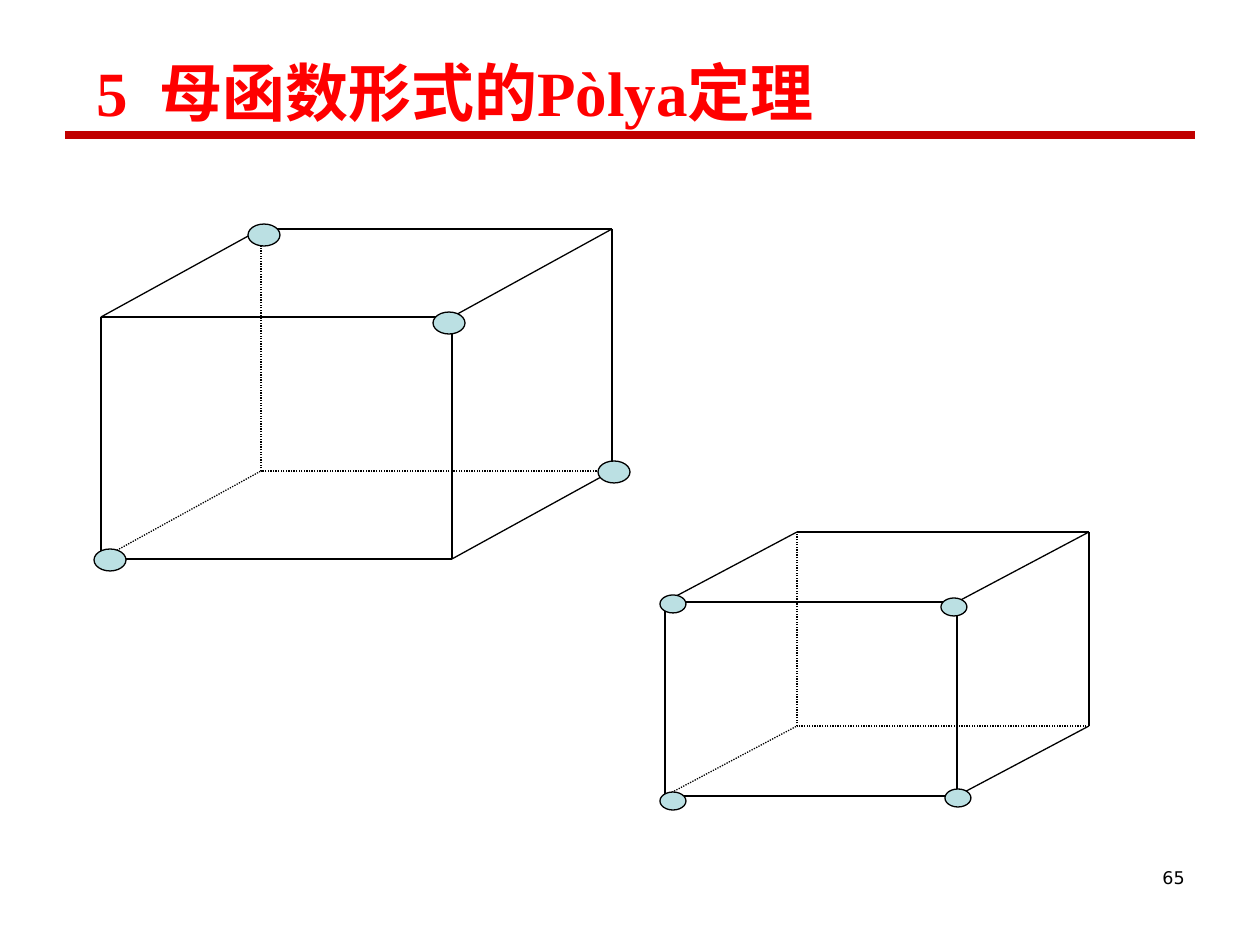
import pptx
import pptx.dml.color
import pptx.enum.dml
import pptx.enum.shapes
import pptx.enum.text
import pptx.oxml
import pptx.util

PX = 914400 / 126
ALIGN = pptx.enum.text.PP_ALIGN
ANCHOR = pptx.enum.text.MSO_ANCHOR


def px(*lengths):
    return [pptx.util.Emu(round(length * PX)) for length in lengths]


def color(hex_code):
    return pptx.dml.color.RGBColor.from_string(hex_code)


def add_text(shapes, box, text, size, font, ink="000000", bold=False,
             align=ALIGN.LEFT, anchor=ANCHOR.TOP):
    label = shapes.add_textbox(*px(*box))
    frame = label.text_frame
    frame.word_wrap = True
    frame.vertical_anchor = anchor
    paragraph = frame.paragraphs[0]
    paragraph.alignment = align
    run = paragraph.add_run()
    run.text = text
    run.font.size = pptx.util.Pt(size)
    run.font.name = font
    run.font.bold = bold
    run.font.color.rgb = color(ink)


def add_line(shapes, start, end, ink="000000", weight=0.75, dash=None):
    line = shapes.add_connector(
        pptx.enum.shapes.MSO_CONNECTOR.STRAIGHT, *px(*start, *end))
    line.line.color.rgb = color(ink)
    line.line.width = pptx.util.Pt(weight)
    if dash:
        line.line.dash_style = dash
    properties = line._element.spPr
    properties.append(pptx.oxml.parse_xml(
        '<a:effectLst xmlns:a="http://schemas.openxmlformats.org/drawingml/2006/main"/>'))


def add_vertex(shapes, box):
    vertex = shapes.add_shape(pptx.enum.shapes.MSO_SHAPE.OVAL, *px(*box))
    vertex.shadow.inherit = False
    vertex.fill.solid()
    vertex.fill.fore_color.rgb = color("BBE0E3")
    vertex.line.color.rgb = color("000000")
    vertex.line.width = pptx.util.Pt(0.75)


def add_header(slide, left, top, width, height):
    add_line(slide.shapes, (left, top + height), (left + width, top + height), "C00000", 5)
    add_text(slide.shapes, (left + 19, top, 1042, height), "5  母函数形式的Pòlya定理",
             36, "Times New Roman", ink="FF0000", bold=True, anchor=ANCHOR.BOTTOM)


def add_cube(slide, left, top, width, height, depth, vertex_size, vertices):
    shapes = slide.shapes.add_group_shape().shapes
    shift, rise = depth
    front_left, front_right = left, left + width - shift
    back_left, back_right = left + shift, left + width
    front_top, front_bottom = top + rise, top + height
    back_top, back_bottom = top, top + height - rise
    front = [(front_left, front_top), (front_right, front_top),
             (front_right, front_bottom), (front_left, front_bottom)]
    back = [(back_left, back_top), (back_right, back_top),
            (back_right, back_bottom), (back_left, back_bottom)]
    hidden_corner = back[3]

    edges = list(zip(front, back))
    for face in (front, back):
        edges += zip(face, face[1:] + face[:1])
    for edge in edges:
        hidden = hidden_corner in edge
        add_line(shapes, *edge,
                 dash=pptx.enum.dml.MSO_LINE.ROUND_DOT if hidden else None)
    for x, y in vertices:
        add_vertex(shapes, (left + x, top + y, *vertex_size))


def add_page_number(slide, left, top, width, height):
    add_text(slide.shapes, (left, top, width, height), "65", 10, "DejaVu Sans",
             align=ALIGN.RIGHT)


def main():
    deck = pptx.Presentation()
    deck.slide_width, deck.slide_height = px(1260, 945)
    slide = deck.slides.add_slide(deck.slide_layouts[6])
    add_header(slide, 65, 35, 1130, 100)
    add_page_number(slide, 903, 861, 294, 63)
    add_cube(slide, 101, 229, 511, 330, (160, 88), (32, 22),
             [(-7, 320), (332, 83), (147, -5), (497, 232)])
    add_cube(slide, 665, 532, 424, 264, (132, 70), (26, 18),
             [(-5, 63), (276, 66), (-5, 260), (280, 257)])
    deck.save("out.pptx")


if __name__ == "__main__":
    main()
